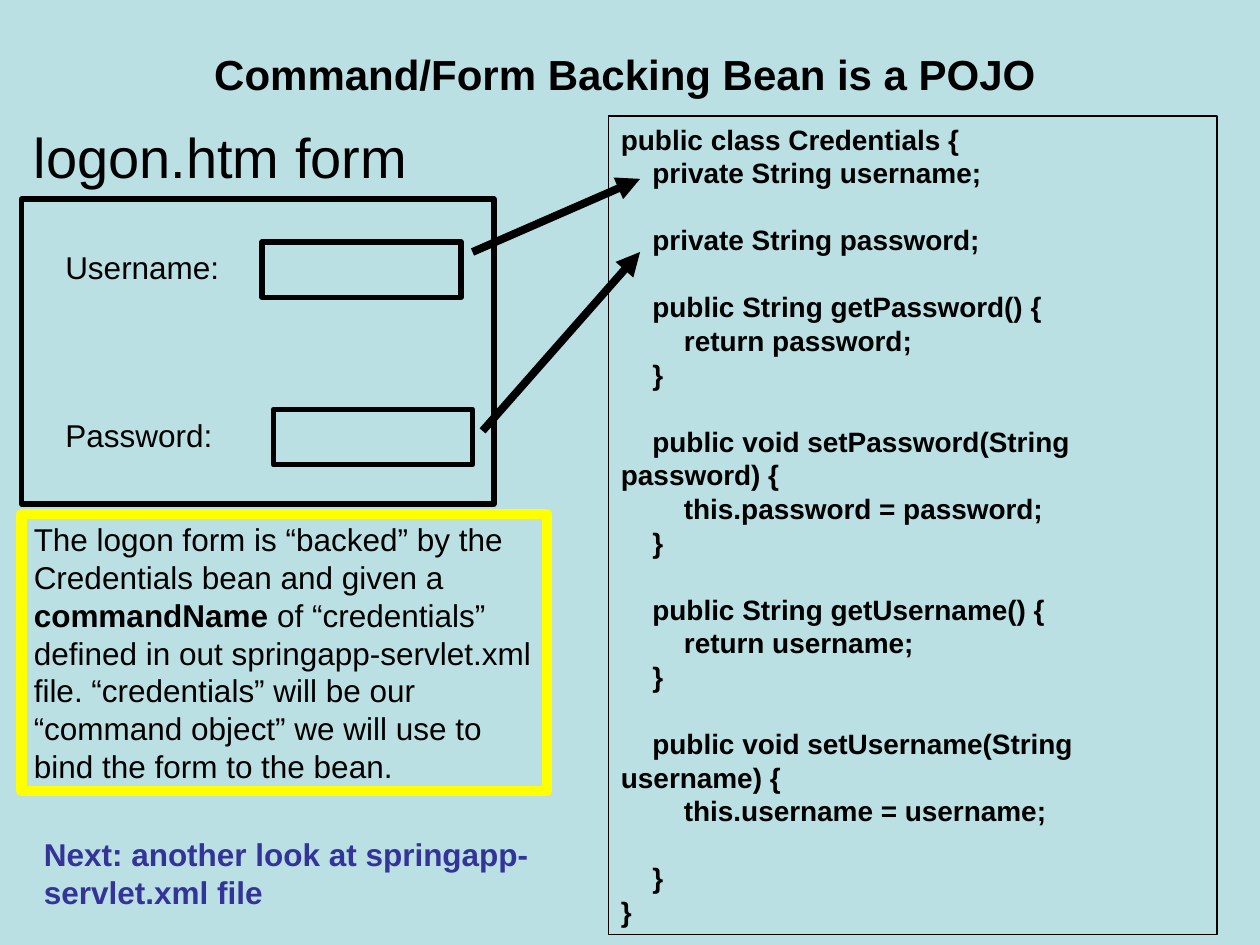
"""Build the slide that maps a logon form to its backing bean."""
from lxml import etree
from pptx import Presentation
from pptx import util as u
from pptx.dml import color
from pptx.enum import shapes, text
from pptx.oxml import ns

HUES = {"back": "BBE0E3", "ink": "000000", "mark": "FFFF00", "next": "333399"}


class Deck:
    """Hold the style and the current slide."""

    font = "Arial"

    def __init__(self):
        self.prs = Presentation()
        self.prs.slide_width, self.prs.slide_height = u.Inches(10), u.Inches(7.5)
        self.slide = self.prs.slides.add_slide(self.prs.slide_layouts[5])
        self.paint(self.slide.background.fill, "back")

    def hue(self, name):
        """Look up a colour."""
        return color.RGBColor.from_string(HUES[name])

    def paint(self, fill, name):
        """Fill with one colour."""
        fill.solid()
        fill.fore_color.rgb = self.hue(name)

    def style(self, para, size, bold=False, name="ink", align=text.PP_ALIGN.LEFT):
        """Format a paragraph and its runs."""
        para.alignment = align
        para.line_spacing = u.Pt(size * 1.2)
        para.space_before = u.Pt(0)
        for run in para.runs:
            run.font.name, run.font.size = self.font, u.Pt(size)
            run.font.bold = bold
            run.font.color.rgb = self.hue(name)

    def title(self, words, box):
        """Place and format the title."""
        head = self.slide.shapes.title
        head.left, head.top, head.width, head.height = map(u.Inches, box)
        head.text_frame.text = words
        head.text_frame.vertical_anchor = text.MSO_ANCHOR.MIDDLE
        self.style(head.text_frame.paragraphs[0], 24, True, align=text.PP_ALIGN.CENTER)

    def label(self, words, box, size=18, **look):
        """Add a text box."""
        frame = self.slide.shapes.add_textbox(*map(u.Inches, box)).text_frame
        frame.word_wrap = True
        frame.text = words
        self.style(frame.paragraphs[0], size, **look)

    def rect(self, box, width, line="ink", fill=None):
        """Add a framed box and return its text frame."""
        shape = self.slide.shapes.add_shape(
            shapes.MSO_SHAPE.RECTANGLE, *map(u.Inches, box))
        shape.shadow.inherit = False
        if fill:
            self.paint(shape.fill, fill)
        else:
            shape.fill.background()
        shape.line.color.rgb = self.hue(line)
        shape.line.width = u.Pt(width)
        frame = shape.text_frame
        frame.word_wrap = True
        frame.vertical_anchor = text.MSO_ANCHOR.TOP
        return frame

    def code(self, lines, box):
        """Add a box of code, with levels as first-line indents."""
        frame = self.rect(box, 0.75)
        for num, (level, gap, words) in enumerate(lines):
            para = frame.add_paragraph() if num else frame.paragraphs[0]
            para.text = words
            self.style(para, 16, True)
            para.space_before = u.Pt(19.2 * gap)
            para._p.get_or_add_pPr().set("indent", str(u.Inches(0.25 * level)))

    def note(self, parts, box):
        """Add a marked note from (words, bold) parts."""
        para = self.rect(box, 6, "mark").paragraphs[0]
        for words, bold in parts:
            para.add_run().text = words
        self.style(para, 18)
        for run, (words, bold) in zip(para.runs, parts):
            run.font.bold = bold

    def arrow(self, ends):
        """Add an arrow from the first point to the second."""
        link = self.slide.shapes.add_connector(
            shapes.MSO_CONNECTOR.STRAIGHT, *map(u.Inches, ends))
        link.line.color.rgb = self.hue("ink")
        link.line.width = u.Pt(4.5)
        tip = etree.SubElement(link.line._get_or_add_ln(), ns.qn("a:tailEnd"))
        tip.set("type", "triangle")
        etree.SubElement(link._element.spPr, ns.qn("a:effectLst"))


CODE = [
    (0, 0, "public class Credentials {"),
    (1, 0, "private String username;"),
    (1, 1, "private String password;"),
    (1, 1, "public String getPassword() {"),
    (2, 0, "return password;"),
    (1, 0, "}"),
    (1, 1, "public void setPassword(String password) {"),
    (2, 0, "this.password = password;"),
    (1, 0, "}"),
    (1, 1, "public String getUsername() {"),
    (2, 0, "return username;"),
    (1, 0, "}"),
    (1, 1, "public void setUsername(String username) {"),
    (2, 0, "this.username = username;"),
    (1, 1, "}"),
    (0, 0, "}"),
]
NOTE = [
    ("The logon form is “backed” by the Credentials bean and given a ", False),
    ("commandName", True),
    (" of “credentials” defined in out springapp-servlet.xml file. “credentials” "
     "will be our “command object” we will use to bind the form to the bean.", False),
]
FIELDS = [("Username:", 1.92, 1.5, 2.08), ("Password:", 3.25, 1.42, 2.17)]

deck = Deck()
deck.title("Command/Form Backing Bean is a POJO", (0.5, 0.25, 8.92, 0.67))
deck.label("logon.htm form", (0.17, 0.92, 9.33, 5.78), 32)
deck.rect((0.17, 1.58, 3.75, 2.42), 3, fill="back")
for words, top, wide, left in FIELDS:
    deck.label(words, (0.42, top, wide, 0.4))
    deck.rect((left, top, 1.58, 0.44), 3)
deck.code(CODE, (4.83, 0.92, 4.83, 6.5))
deck.note(NOTE, (0.17, 4.08, 4.17, 2.2))
for ends in [(3.75, 2, 5.08, 1.42), (3.83, 3.42, 5.08, 2)]:
    deck.arrow(ends)
deck.label("Next: another look at springapp-servlet.xml file",
           (0.25, 6.58, 4.17, 0.7), bold=True, name="next")
deck.prs.save("out.pptx")
